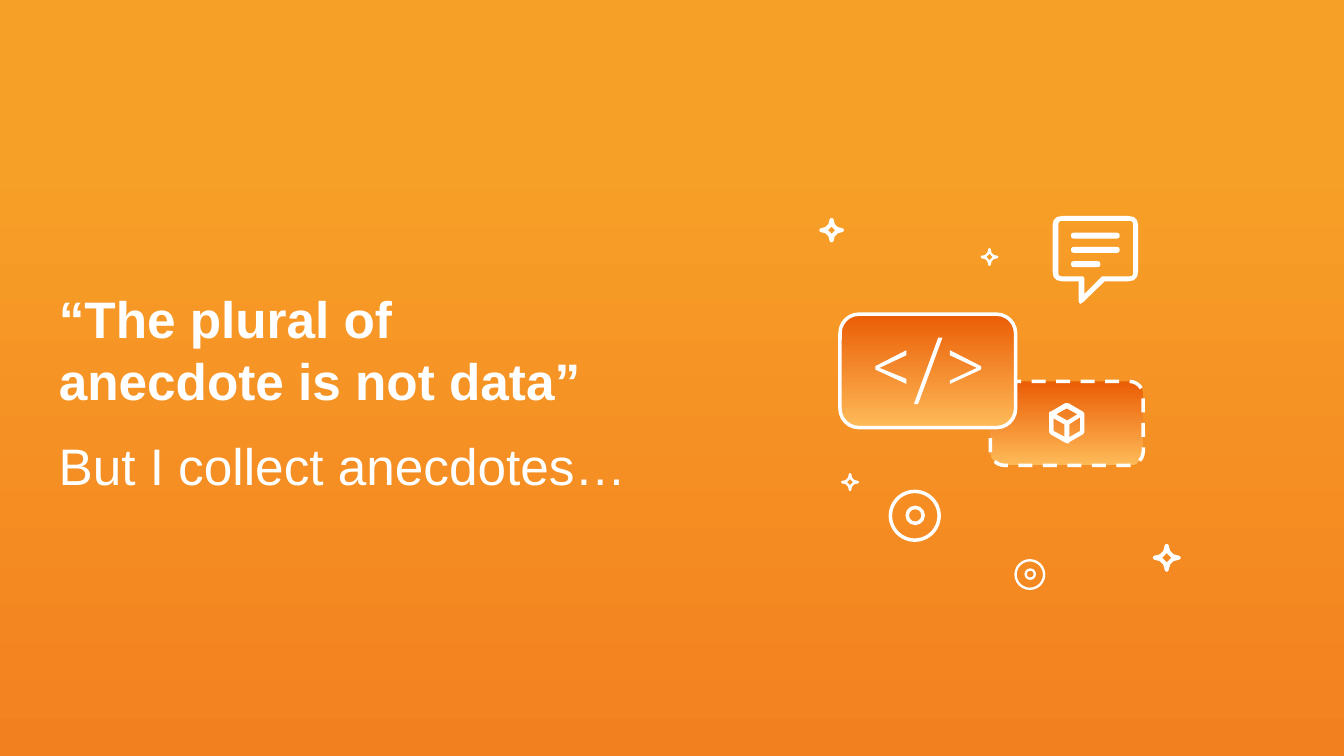
from copy import deepcopy
from math import cos, dist, pi, sin

from pptx import Presentation
from pptx.dml.color import RGBColor
from pptx.enum.dml import MSO_LINE
from pptx.enum.shapes import MSO_SHAPE
from pptx.enum.text import MSO_ANCHOR, MSO_AUTO_SIZE, PP_ALIGN
from pptx.oxml.ns import qn
from pptx.util import Inches, Pt

ROUNDED, OVAL, DASH = MSO_SHAPE.ROUNDED_RECTANGLE, MSO_SHAPE.OVAL, MSO_LINE.DASH
TOP, LEFT, NO_FIT = MSO_ANCHOR.TOP, PP_ALIGN.LEFT, MSO_AUTO_SIZE.NONE
WHITE = RGBColor(0xFF, 0xFF, 0xFF)
AMBER = RGBColor(0xF7, 0xA0, 0x28)
ORANGE = RGBColor(0xF3, 0x80, 0x1F)
DEEP_ORANGE = RGBColor(0xEB, 0x5F, 0x07)
PALE_ORANGE = RGBColor(0xFE, 0xBA, 0x58)

# Content: lengths in inches, line widths in points
QUOTE = "“The plural of anecdote is not data”"
REPLY = "But I collect anecdotes…"
QUOTE_AREA = (0.6, 3.37, 6.78, 1.71)
REPLY_AREA = (0.6, 5.12, 7.4, 1.11)
BACKDROP = [(0.02, AMBER), (0.2, AMBER), (1, ORANGE)]
CARD_FILL = [(0.02, DEEP_ORANGE), (1, PALE_ORANGE)]
PACKAGE_CARD = (11.79, 4.54, 1.82, 1)
CODE_CARD = (10, 3.74, 2.09, 1.35)
RINGS = [  # left, top, size, line width
    (12.09, 6.67, 0.34, 2),
    (12.21, 6.78, 0.11, 2),
    (10.6, 5.85, 0.58, 3),
    (10.8, 6.04, 0.19, 3),
]
SPARKLES = [  # centre x, centre y, arc radius, thickness
    (13.89, 6.64, 0.14, 0.05),
    (9.9, 2.74, 0.12, 0.05),
    (10.12, 5.74, 0.09, 0.03),
    (11.78, 3.06, 0.09, 0.03),
]
# Outlines: corners as x, y and optional corner radius; later ones are holes
CUBE_FACES = [
    [[(12.7, 4.79, 0.03), (12.91, 4.91, 0.03), (12.91, 5.16, 0.03),
      (12.7, 5.28, 0.03), (12.49, 5.16, 0.03), (12.49, 4.91, 0.03)],
     [(12.7, 4.86), (12.86, 4.95), (12.86, 5.13),
      (12.7, 5.22), (12.54, 5.13), (12.54, 4.95)]],
    [[(12.7, 4.79, 0.03), (12.92, 4.93, 0.03),
      (12.7, 5.07, 0.03), (12.48, 4.93, 0.03)],
     [(12.7, 4.86), (12.83, 4.93), (12.7, 5.01), (12.57, 4.93)]],
    [[(12.49, 4.89, 0.03), (12.73, 5.02, 0.03),
      (12.73, 5.29, 0.03), (12.49, 5.16, 0.03)],
     [(12.54, 4.98), (12.67, 5.05), (12.67, 5.2), (12.54, 5.13)]],
]
CODE_SIGNS = [
    [[(10.42, 4.4), (10.42, 4.36), (10.79, 4.17), (10.79, 4.23),
      (10.47, 4.38), (10.79, 4.51), (10.79, 4.57)]],
    [[(10.88, 4.81), (11.17, 4.02), (11.22, 4.02), (10.93, 4.81)]],
    [[(11.68, 4.36), (11.68, 4.4), (11.31, 4.57), (11.31, 4.53),
      (11.63, 4.38), (11.31, 4.23), (11.31, 4.17)]],
]
BUBBLE = [
    [(12.53, 2.57, 0.12), (13.55, 2.57, 0.12), (13.55, 3.35, 0.12), (13.15, 3.35),
     (12.84, 3.65, 0.08), (12.84, 3.35), (12.53, 3.35, 0.12)],
    [(12.6, 2.63, 0.04), (13.49, 2.63, 0.04), (13.49, 3.29, 0.04),
     (13.12, 3.29), (12.91, 3.5), (12.91, 3.29, 0.03), (12.6, 3.29, 0.04)],
]
BUBBLE_LEFT, BUBBLE_TOP, BUBBLE_STEP, BUBBLE_BAR = 12.75, 2.77, 0.17, 0.07
BUBBLE_WIDTHS = [0.58, 0.58, 0.35]

deck = Presentation()
deck.slide_width, deck.slide_height = Inches(16), Inches(9)
slide = deck.slides.add_slide(deck.slide_layouts[5])


def paint_gradient(fill, element, stops):
    """Fill from top to bottom with (position, colour) stops."""
    fill.gradient()
    fill.gradient_angle = 270
    stop_list = element.find(".//" + qn("a:gsLst"))
    while len(stop_list) < len(stops):
        stop_list.append(deepcopy(stop_list[-1]))
    for stop, (position, colour) in zip(fill.gradient_stops, stops):
        stop.position = position
        stop.color.rgb = colour


def add_outlined(kind, area, width, stops=None, dash=None):
    shape = slide.shapes.add_shape(kind, *map(Inches, area))
    shape.shadow.inherit = False
    if stops:
        paint_gradient(shape.fill, shape.element, stops)
    else:
        shape.fill.background()
    shape.line.color.rgb = WHITE
    shape.line.width = Pt(width)
    if dash:
        shape.line.dash_style = dash


def add_white_form(contours):
    builder = None
    for contour in contours:
        points = [(Inches(x), Inches(y)) for x, y in contour]
        if builder is None:
            builder = slide.shapes.build_freeform(*points[0])
        else:
            builder.move_to(*points[0])
        builder.add_line_segments(points[1:], close=True)
    form = builder.convert_to_shape()
    form.shadow.inherit = False
    form.fill.solid()
    form.fill.fore_color.rgb = WHITE
    form.line.fill.background()


def round_corners(corners, steps=3):
    """Replace each corner that has a radius by a short curve."""
    points = []
    for index, (x, y, *radius) in enumerate(corners):
        if not radius:
            points.append((x, y))
            continue
        ends = []
        for near in (corners[index - 1], corners[(index + 1) % len(corners)]):
            share = radius[0] / dist((x, y), near[:2])
            ends.append((x + (near[0] - x) * share, y + (near[1] - y) * share))
        for step in range(steps + 1):
            t = step / steps
            weights = ((1 - t) ** 2, 2 * t * (1 - t), t * t)
            curve = (ends[0], (x, y), ends[1])
            points.append(tuple(sum(w * p[axis] for w, p in zip(weights, curve))
                                for axis in (0, 1)))
    return points


def arc(x, y, radius, start, end, steps=3):
    """Points along an arc, without its end point."""
    angles = [start + (end - start) * step / steps for step in range(steps)]
    return [(x + radius * cos(a), y + radius * sin(a)) for a in angles]


def add_sparkle(x, y, radius, thickness):
    """Four inward arcs with round ends, mirrored about the centre."""
    half = thickness / 2
    stroke = (arc(radius, 0, half, pi, 2 * pi)
              + arc(0, 0, radius + half, 0, pi / 2)
              + arc(0, radius, half, pi / 2, 3 * pi / 2)
              + arc(0, 0, radius - half, pi / 2, 0))
    for side, rise in ((-1, -1), (1, -1), (-1, 1), (1, 1)):
        add_white_form([[(x + side * (radius - u), y + rise * (radius - v))
                         for u, v in stroke]])


def set_text(box, area, text, bold):
    box.left, box.top, box.width, box.height = map(Inches, area)
    frame = box.text_frame
    frame.text = text
    for name, value in {"word_wrap": True, "auto_size": NO_FIT, "vertical_anchor": TOP,
                        "margin_left": Inches(0.1), "margin_right": Inches(0.1),
                        "margin_top": Inches(0.05), "margin_bottom": Inches(0.05)}.items():
        setattr(frame, name, value)
    para = frame.paragraphs[0]
    para.alignment, para.line_spacing, para.space_before = LEFT, 1.0, Pt(0)
    font = para.runs[0].font
    for name, value in {"name": "Arial", "size": Pt(44), "bold": bold}.items():
        setattr(font, name, value)
    font.color.rgb = WHITE


# Background and words
paint_gradient(slide.background.fill, slide.element, BACKDROP)
set_text(slide.shapes.title, QUOTE_AREA, QUOTE, True)
set_text(slide.shapes.add_textbox(0, 0, 0, 0), REPLY_AREA, REPLY, False)

# Package card, with the code card in front
add_outlined(ROUNDED, PACKAGE_CARD, 3, CARD_FILL, DASH)
for face in CUBE_FACES:
    add_white_form([round_corners(contour) for contour in face])
add_outlined(ROUNDED, CODE_CARD, 3, CARD_FILL)
for sign in CODE_SIGNS:
    add_white_form(sign)

# Speech bubble with its lines
add_white_form([round_corners(contour) for contour in BUBBLE])
for row, width in enumerate(BUBBLE_WIDTHS):
    left, top = BUBBLE_LEFT, BUBBLE_TOP + row * BUBBLE_STEP
    right, bottom, radius = left + width, top + BUBBLE_BAR, BUBBLE_BAR / 2
    add_white_form([round_corners([(left, top, radius), (right, top, radius),
                                   (right, bottom, radius), (left, bottom, radius)])])

# Sparkles and rings
for sparkle in SPARKLES:
    add_sparkle(*sparkle)
for left, top, size, width in RINGS:
    add_outlined(OVAL, (left, top, size, size), width)

deck.save("out.pptx")
